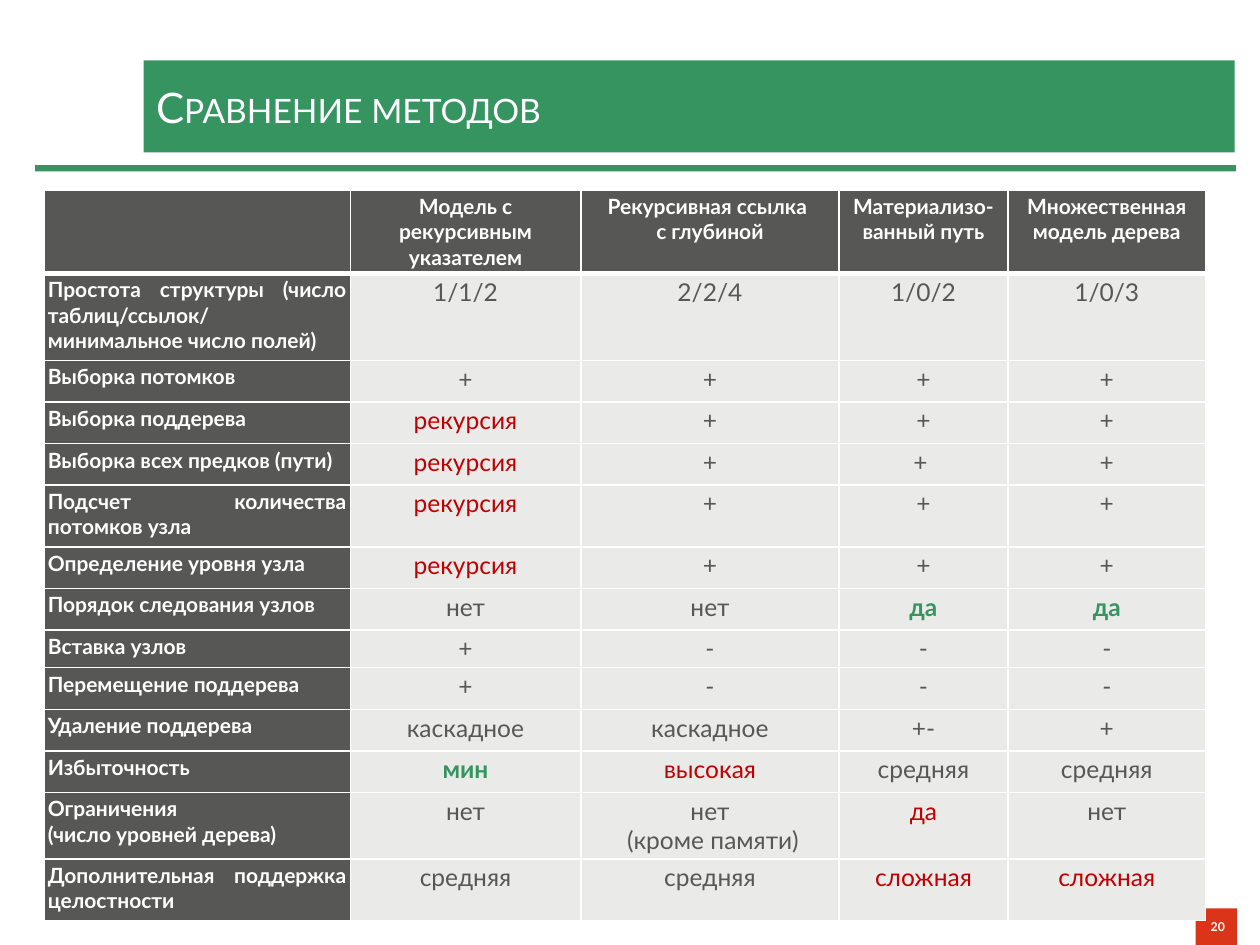
from lxml import etree
from pptx import Presentation
from pptx.dml.color import RGBColor
from pptx.enum.shapes import MSO_SHAPE
from pptx.enum.text import MSO_ANCHOR, PP_ALIGN
from pptx.oxml.ns import qn
from pptx.util import Inches, Pt

RECT = MSO_SHAPE.RECTANGLE
MIDDLE = MSO_ANCHOR.MIDDLE
LEFT, MID, RIGHT, FULL = PP_ALIGN.LEFT, PP_ALIGN.CENTER, PP_ALIGN.RIGHT, PP_ALIGN.JUSTIFY
GREEN, RED, DARK, PALE, WHITE = "369461", "C00000", "575756", "EAEAE9", "FFFFFF"


def paint(obj, tone):
    obj.solid()
    obj.fore_color.rgb = RGBColor.from_string(tone)


def write(par, text, size, tone, bold, align):
    par.alignment = align
    for i, line in enumerate(text.split("\n")):
        if i:
            par.add_line_break()
        run = par.add_run()
        run.text = line
        run.font.name = "Lato"
        run.font.size = Pt(size)
        run.font.bold = bold
        paint(run.font.fill, tone)


deck = Presentation()
deck.slide_width, deck.slide_height = Inches(10), Inches(7.5)
slide = deck.slides.add_slide(deck.slide_layouts[6])

bars = [
    (0.28, 1.31, 9.53, 0.05, GREEN, "", 0, False, LEFT),
    (1.14, 0.48, 8.66, 0.73, GREEN, "Сравнение методов", 24, False, LEFT),
    (9.49, 7.21, 0.33, 0.29, "DB3519", "20", 7, True, RIGHT),
]
for x, y, w, h, tone, text, size, bold, align in bars:
    bar = slide.shapes.add_shape(RECT, Inches(x), Inches(y), Inches(w), Inches(h))
    bar.shadow.inherit = False
    paint(bar.fill, tone)
    bar.line.fill.background()
    if text:
        frame = bar.text_frame
        frame.vertical_anchor = MIDDLE
        write(frame.paragraphs[0], text, size, WHITE, bold, align)
        if size == 24:
            frame.margin_top = frame.margin_bottom = Inches(0.12)
            frame.paragraphs[0].runs[0].font._element.set("cap", "small")

marks = {"!": (RED, False), "*": (GREEN, True)}
rows = [
    (0.57, ["", "Модель с рекурсивным указателем", "Рекурсивная ссылка \nс глубиной",
            "Материализо-ванный путь", "Множественная модель дерева"]),
    (0.69, ["Простота структуры (число таблиц/ссылок/ минимальное число полей)",
            "1/1/2", "2/2/4", "1/0/2", "1/0/3"]),
    (0.33, ["Выборка потомков", "+", "+", "+", "+"]),
    (0.33, ["Выборка поддерева", "!рекурсия", "+", "+", "+"]),
    (0.33, ["Выборка всех предков (пути)", "!рекурсия", "+", "+ ", "+"]),
    (0.49, ["Подсчет количества потомков узла", "!рекурсия", "+", "+", "+"]),
    (0.33, ["Определение уровня узла", "!рекурсия", "+", "+", "+"]),
    (0.33, ["Порядок следования узлов", "нет", "нет", "*да", "*да"]),
    (0.3, ["Вставка узлов", "+", "-", "-", "-"]),
    (0.33, ["Перемещение поддерева", "+", "-", "-", "-"]),
    (0.33, ["Удаление поддерева", "каскадное", "каскадное", "+-", "+"]),
    (0.33, ["Избыточность", "*мин", "!высокая", "средняя", "средняя"]),
    (0.49, ["Ограничения \n(число уровней дерева)", "нет", "нет\n (кроме памяти)", "!да", "нет"]),
    (0.49, ["Дополнительная поддержка целостности", "средняя", "средняя", "!сложная", "!сложная"]),
]
cols = [2.43, 1.83, 2.05, 1.34, 1.57]
high = sum(row[0] for row in rows)
grid = slide.shapes.add_table(len(rows), len(cols), Inches(0.35), Inches(1.51),
                              Inches(sum(cols)), Inches(high)).table
for c, width in enumerate(cols):
    grid.columns[c].width = Inches(width)

for r, (height, texts) in enumerate(rows):
    grid.rows[r].height = Inches(height)
    for c, text in enumerate(texts):
        cell = grid.cell(r, c)
        cell.margin_left = cell.margin_right = Inches(0.03)
        cell.margin_top = cell.margin_bottom = Inches(0.03)
        props = cell._tc.get_or_add_tcPr()
        for side in "LRTB":
            thick = (r, side) in [(0, "B"), (1, "T")]
            edge = etree.SubElement(props, qn("a:ln" + side), w=str(Pt(3 if thick else 1)))
            fill = etree.SubElement(edge, qn("a:solidFill"))
            etree.SubElement(fill, qn("a:srgbClr"), val=WHITE)
        head = r == 0 or c == 0
        paint(cell.fill, DARK if head else PALE)
        if not text:
            continue
        if head:
            size, tone, bold = 12, WHITE, True
        else:
            size = 14
            tone, bold = marks.get(text[0], (DARK, False))
            text = text.lstrip("!*")
        align = MID if c else LEFT if "\n" in text else FULL
        write(cell.text_frame.paragraphs[0], text, size, tone, bold, align)

deck.save("out.pptx")
